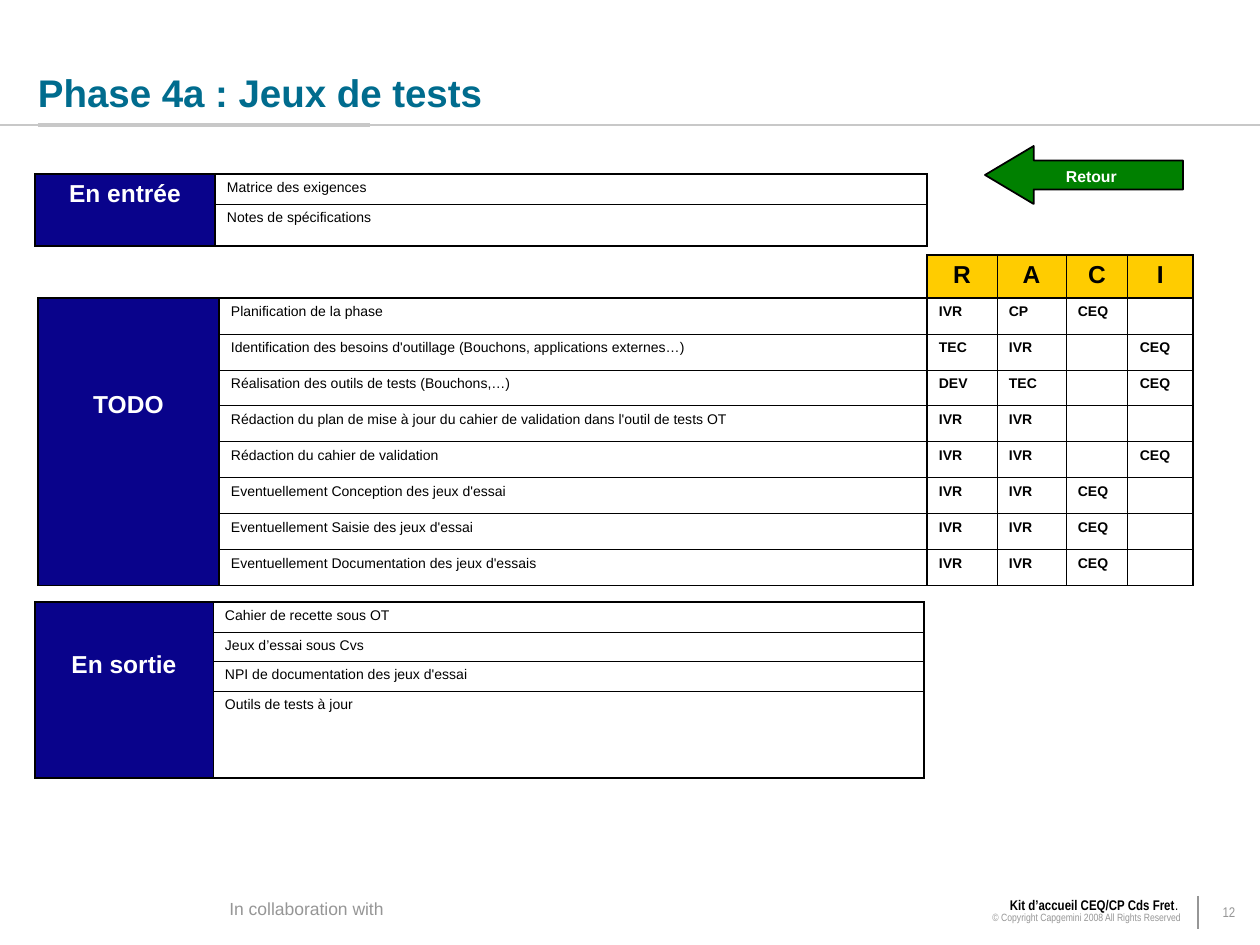
from lxml.etree import SubElement as Sub
from pptx import Presentation
from pptx.dml.color import RGBColor as RGB
from pptx.enum.shapes import MSO_CONNECTOR as LINK, MSO_SHAPE as SHAPE
from pptx.enum.text import MSO_ANCHOR as ANCHOR, PP_ALIGN as ALIGN
from pptx.oxml.ns import qn
from pptx.util import Pt

PX = 914400 / 126
TEAL = RGB(0x00, 0x6C, 0x8E)
NAVY = RGB(0x09, 0x03, 0x8B)
GOLD = RGB(0xFF, 0xCC, 0x00)
GREEN = RGB(0x00, 0x80, 0x00)
BLACK = RGB(0x00, 0x00, 0x00)
WHITE = RGB(0xFF, 0xFF, 0xFF)
SILVER = RGB(0xC8, 0xC8, 0xC8)
GRAY = RGB(0x96, 0x96, 0x96)
SANS = "Arial"
SLIM = "Arial Narrow"
THICK, THIN = 1.08, 0.45


def px(*nums):
    return [round(n * PX) for n in nums]


def ink(par, text, size, color, bold=False, face=SANS):
    run = par.add_run()
    run.text = text
    font = run.font
    font.name, font.size, font.bold = face, Pt(size), bold
    font.color.rgb = color


prs = Presentation()
prs.slide_width, prs.slide_height = px(1260, 945)
slide = prs.slides.add_slide(prs.slide_layouts[5])
shapes = slide.shapes

title = shapes.title
title.left, title.top, title.width, title.height = px(38, 0, 1196, 115)
frame = title.text_frame
frame.margin_left = frame.margin_right = frame.margin_top = frame.margin_bottom = 0
frame.vertical_anchor = ANCHOR.BOTTOM
frame.paragraphs[0].alignment = ALIGN.LEFT
ink(frame.paragraphs[0], "Phase 4a : Jeux de tests", 22, TEAL, True)

rules = [
    (0, 125, 1260, 125, SILVER, 0.75),
    (38, 125, 370, 125, SILVER, 2.25),
    (1198, 896, 1198, 929, GRAY, 0.75),
]
for *ends, color, width in rules:
    rule = shapes.add_connector(LINK.STRAIGHT, *px(*ends))
    rule.line.color.rgb = color
    rule.line.width = Pt(width)
    Sub(rule._element.spPr, qn("a:effectLst"))

tables = [
    (35, 174, [180, 712], [30, 42], {0, 1, 2}, {0, 2}, 6, [
        ["En entrée", "Matrice des exigences"],
        ["", "Notes de spécifications"],
    ]),
    (35, 602, [178, 711], [30, 29, 30, 87], {0, 2}, {0, 4}, 49, [
        ["En sortie", "Cahier de recette sous OT"],
        ["", "Jeux d’essai sous Cvs"],
        ["", "NPI de documentation des jeux d'essai"],
        ["", "Outils de tests à jour"],
    ]),
    (38, 255, [181, 708, 70, 69, 62, 65], [43] + [36] * 8, {0, 1, 2, 6}, {0, 1, 9}, 93, [
        ["", "", "R", "A", "C", "I"],
        ["TODO", "Planification de la phase", "IVR", "CP", "CEQ", ""],
        ["", "Identification des besoins d'outillage (Bouchons, applications externes…)",
         "TEC", "IVR", "", "CEQ"],
        ["", "Réalisation des outils de tests (Bouchons,…)", "DEV", "TEC", "", "CEQ"],
        ["", "Rédaction du plan de mise à jour du cahier de validation dans l'outil de tests OT",
         "IVR", "IVR", "", ""],
        ["", "Rédaction du cahier de validation", "IVR", "IVR", "", "CEQ"],
        ["", "Eventuellement Conception des jeux d'essai", "IVR", "IVR", "CEQ", ""],
        ["", "Eventuellement Saisie des jeux d'essai", "IVR", "IVR", "CEQ", ""],
        ["", "Eventuellement Documentation des jeux d'essais", "IVR", "IVR", "CEQ", ""],
    ]),
]
for left, top, cols, rows, walls, floors, drop, data in tables:
    spot = px(left, top, sum(cols), sum(rows))
    grid = shapes.add_table(len(rows), len(cols), *spot).table
    grid.first_row = grid.horz_banding = False
    for col, width in zip(grid.columns, px(*cols)):
        col.width = width
    for row, height in zip(grid.rows, px(*rows)):
        row.height = height
    raci = len(cols) > 2
    start = 1 if raci else 0
    if raci:
        grid.cell(0, 0).merge(grid.cell(0, 1))
    grid.cell(start, 0).merge(grid.cell(len(rows) - 1, 0))

    for r, line in enumerate(data):
        for c, text in enumerate(line):
            cell = grid.cell(r, c)
            head = raci and r == 0
            blank = head and c < 2
            label = c == 0 and not blank
            par = cell.text_frame.paragraphs[0]
            if text:
                big = head or label
                if big:
                    par.alignment = ALIGN.CENTER
                ink(par, text, 14 if big else 8, WHITE if label else BLACK, big or c > 1)
            else:
                Sub(par._p, qn("a:endParaRPr"), sz="800")
            cell.margin_left, cell.margin_top = px(12, drop if label and text else 6)
            cell.margin_right, cell.margin_bottom = px(12, 6)
            if not cell.is_spanned:
                right = c + (cell.span_width if cell.is_merge_origin else 1)
                base = r + (cell.span_height if cell.is_merge_origin else 1)
                sides = [("L", c in walls), ("R", right in walls),
                         ("T", r in floors), ("B", base in floors)]
                for side, heavy in sides:
                    bare = blank and side in "LT"
                    width = 0.11 if bare else THICK if heavy else THIN
                    edge = Sub(cell._tc.get_or_add_tcPr(), qn("a:ln" + side), w=str(Pt(width)))
                    fill = Sub(edge, qn("a:solidFill"))
                    Sub(fill, qn("a:srgbClr"), val=str(WHITE if bare else BLACK))
            if label or head and not blank:
                cell.fill.solid()
                cell.fill.fore_color.rgb = NAVY if label else GOLD
            else:
                cell.fill.background()

arrow = shapes.add_shape(SHAPE.LEFT_ARROW, *px(985, 146, 198, 58))
arrow.adjustments[0], arrow.adjustments[1] = 0.5, 0.84
arrow.shadow.inherit = False
arrow.fill.solid()
arrow.fill.fore_color.rgb = GREEN
arrow.line.color.rgb = BLACK
arrow.line.width = Pt(1)

notes = [
    ((1004, 161, 179, 32), ALIGN.CENTER, ANCHOR.TOP, 1,
     [[("Retour ", 9, WHITE, True)]]),
    ((217, 895, 179, 30), ALIGN.CENTER, ANCHOR.TOP, 0.85,
     [[("In collaboration with", 10, GRAY)]]),
    ((1198, 896, 62, 34), ALIGN.CENTER, ANCHOR.MIDDLE, 0.85,
     [[("12", 8, GRAY, False, SLIM)]]),
    ((566, 893, 627, 38), ALIGN.RIGHT, ANCHOR.TOP, 0.85,
     [[("Kit d’accueil CEQ/CP Cds Fret", 8, BLACK, True, SLIM),
       (".", 8, BLACK, False, SLIM), (" ", 6, GRAY, False, SLIM)],
      [("© Copyright Capgemini 2008 All Rights Reserved", 6, GRAY, False, SLIM)]]),
]
for spot, align, anchor, gap, pars in notes:
    frame = shapes.add_textbox(*px(*spot)).text_frame
    frame.word_wrap = True
    frame.vertical_anchor = anchor
    for i, runs in enumerate(pars):
        par = frame.add_paragraph() if i else frame.paragraphs[0]
        par.alignment = align
        par.line_spacing = gap
        for run in runs:
            ink(par, *run)

prs.save("out.pptx")
